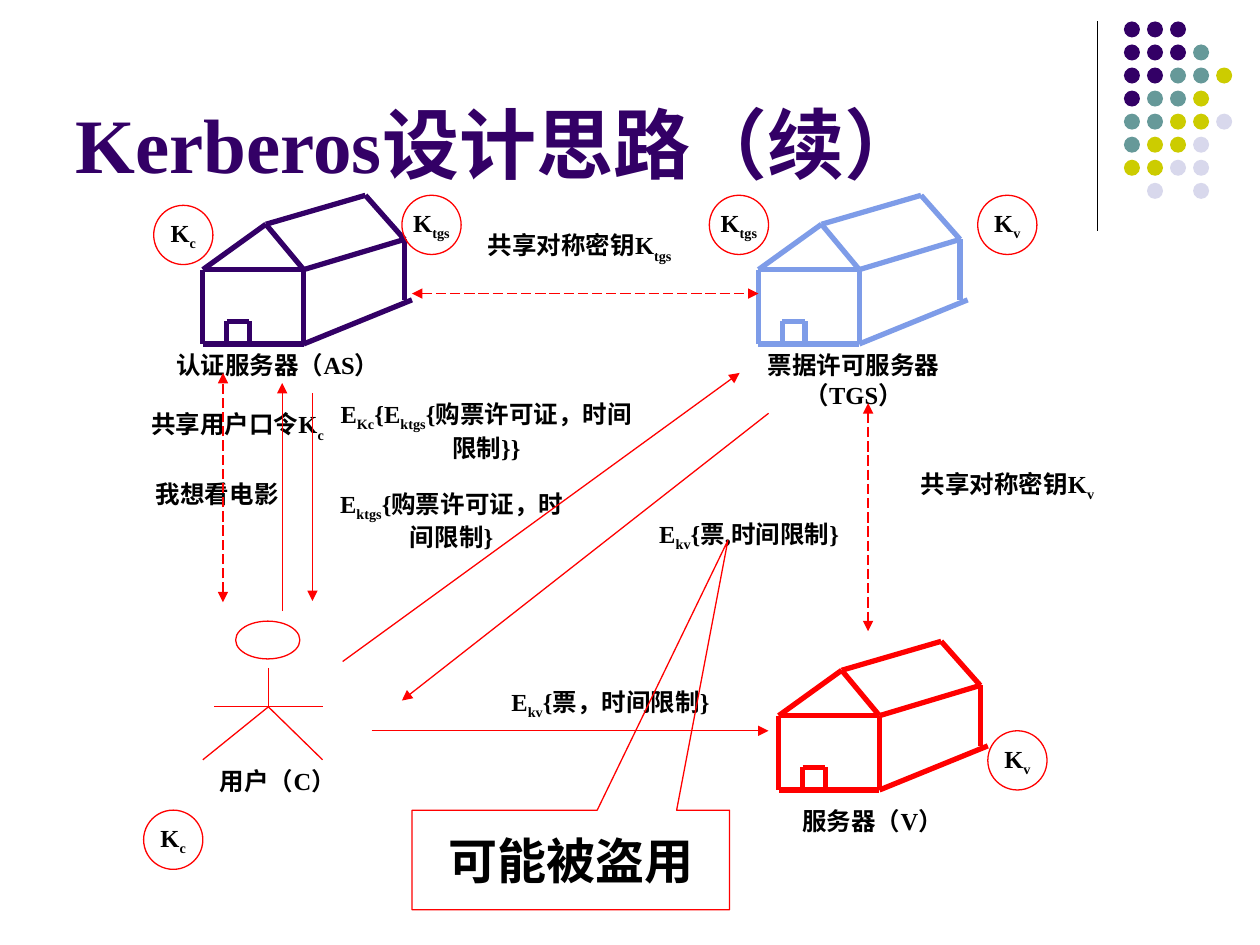
"""Build a slide on the Kerberos design idea: servers, user, keys and messages."""
import lxml.etree
import pptx
import pptx.dml.color
import pptx.enum.dml
import pptx.enum.shapes
import pptx.enum.text
import pptx.oxml.ns
import pptx.util

THEME = {
    "font": "Times New Roman",
    "ink": "000000", "violet": "330066", "blue": "7E9CE8", "red": "FF0000",
    "teal": "669999", "lime": "CCCC00", "mist": "D8D8EC",
    "title": 44, "warning": 28, "label": 14,
    "thin": 0.75, "thick": 3,
}
COLUMNS, ROWS = 100, 75

TITLE = ("Kerberos设计思路（续）", (5, 1.3, 82.5, 14.2))
WARNING = ("可能被盗用", (32.7, 64.3, 25.2, 7.9), (0.495, -3.211))

DOT_ROWS = ["vvv", "vvvt", "vvttl", "vttl", "ttllm", "tllm", "llmm", ".m.m"]
DOT_COLOURS = {"v": "violet", "t": "teal", "l": "lime", "m": "mist"}
DOT_ORIGIN, DOT_PITCH, DOT_SIZE = (89.2, 1.7), 1.83, 1.27
DIVIDER = ((87.1, 1.7), (87.1, 18.3))

HOUSES = [((60.2, 15.5), "blue"), ((61.8, 50.9), "red"), ((16.1, 15.5), "violet")]
APEX, RIDGE = (5, 2.3), (12.9, 0)
EAVE_LEFT, EAVE_MID, EAVE_FAR = (0, 5.9), (8, 5.9), (16, 3.5)
BASE_LEFT, BASE_MID, BASE_FAR, BASE_END = (0, 11.8), (8, 11.8), (16, 8.3), (16.6, 8.3)
DOOR = [(1.9, 11.8), (1.9, 10), (3.7, 10), (3.7, 11.8)]
HOUSE_STROKES = [
    [APEX, EAVE_LEFT, EAVE_MID, APEX, RIDGE, EAVE_FAR, EAVE_MID],
    [EAVE_LEFT, BASE_LEFT, BASE_MID, BASE_END],
    [EAVE_MID, BASE_MID],
    [EAVE_FAR, BASE_FAR],
    DOOR,
]

USER_HEAD = (18.7, 49.3, 5.1, 3)
USER_STROKES = [
    [(21.3, 53), (21.3, 56.1)],
    [(16.1, 60.3), (21.3, 56.1), (25.6, 60.3)],
    [(17, 56.1), (25.6, 56.1)],
]

# ~ switches subscript on and off
LABELS = [
    ("票据许可服务器（TGS）", (57.9, 27.3, 19.7, 5.7)),
    ("服务器（V）", (59.4, 63.5, 19.7, 3.4)),
    ("认证服务器（AS）", (12.2, 27.3, 19.7, 3.4)),
    ("用户（C）", (12.2, 60.3, 19.7, 3.4)),
    ("我想看电影", (9, 37.5, 16.5, 3.4)),
    ("E~Kc~{E~ktgs~{购票许可证，时间限制}}", (25.6, 31.2, 26, 6)),
    ("E~ktgs~{购票许可证，时间限制}", (25.6, 38.3, 20.5, 6)),
    ("E~kv~{票,时间限制}", (49.2, 40.7, 20.5, 3.7)),
    ("E~kv~{票，时间限制}", (38.2, 54, 20.5, 3.7)),
    ("共享对称密钥K~tgs~", (35, 17.8, 22, 3.7)),
    ("共享对称密钥K~v~", (68.9, 36.7, 22.1, 3.7)),
    ("共享用户口令K~c~", (10.6, 32, 16.5, 3.7)),
]
MESSAGES = [
    ((22.4, 48.5), (22.4, 30.4)),
    ((24.8, 31.2), (24.8, 47.7)),
    ((27.2, 52.5), (58.7, 29.6)),
    ((61, 32.8), (31.9, 55.6)),
    ((29.5, 58), (61, 58)),
]
SHARED_SECRETS = [
    ((32.7, 23.3), (60.2, 23.3)),
    ((68.9, 32), (68.9, 50.1)),
    ((17.7, 47.8), (17.7, 29.6)),
]
KEY_SIZE = 4.7
KEYS = [
    ("K~c~", (11.4, 64.3)), ("K~c~", (12.2, 16.3)), ("K~tgs~", (56.3, 15.5)),
    ("K~v~", (78.4, 58)), ("K~tgs~", (31.9, 15.5)), ("K~v~", (77.6, 15.5)),
]

SHAPE = pptx.enum.shapes.MSO_SHAPE
ANCHOR = pptx.enum.text.MSO_ANCHOR
ALIGN = pptx.enum.text.PP_ALIGN

deck = pptx.Presentation()
deck.slide_width, deck.slide_height = pptx.util.Inches(10), pptx.util.Inches(7.5)
slide = deck.slides.add_slide(deck.slide_layouts[6])


def grid(*lengths):
    units = (deck.slide_width / COLUMNS, deck.slide_height / ROWS)
    return [round(length * units[i % 2]) for i, length in enumerate(lengths)]


def colour(name):
    return pptx.dml.color.RGBColor.from_string(THEME[name])


def write(holder, wording, size, ink="ink", align=ALIGN.CENTER, anchor=ANCHOR.MIDDLE, wrap=True):
    frame = holder.text_frame
    frame.word_wrap, frame.vertical_anchor = wrap, anchor
    paragraph = frame.paragraphs[0]
    paragraph.alignment = align
    for i, part in enumerate(wording.split("~")):
        if part:
            run = paragraph.add_run()
            run.text = part
            run.font.name, run.font.bold = THEME["font"], True
            run.font.size = pptx.util.Pt(THEME[size])
            run.font.color.rgb = colour(ink)
            if i % 2:
                run.font._element.set("baseline", "-25000")


def outline(kind, box, ink="red", fill=None):
    shape = slide.shapes.add_shape(kind, *grid(*box))
    shape.shadow.inherit = False
    if fill:
        shape.fill.solid()
        shape.fill.fore_color.rgb = colour(fill)
        shape.line.fill.background()
    else:
        shape.fill.background()
        shape.line.color.rgb = colour(ink)
        shape.line.width = pptx.util.Pt(THEME["thin"])
    return shape


def stroke(start, end, ink="red", width="thin", arrows=(), dashed=False):
    line = slide.shapes.add_connector(
        pptx.enum.shapes.MSO_CONNECTOR.STRAIGHT, *grid(*start, *end))
    line.line.color.rgb = colour(ink)
    line.line.width = pptx.util.Pt(THEME[width])
    if dashed:
        line.line.dash_style = pptx.enum.dml.MSO_LINE.LONG_DASH
    for end_name in arrows:
        lxml.etree.SubElement(
            line.line._get_or_add_ln(), pptx.oxml.ns.qn("a:" + end_name), type="triangle")
    lxml.etree.SubElement(line._element.spPr, pptx.oxml.ns.qn("a:effectLst"))


def polyline(points, origin=(0, 0), **style):
    placed = [(origin[0] + x, origin[1] + y) for x, y in points]
    for start, end in zip(placed, placed[1:]):
        stroke(start, end, **style)


stroke(*DIVIDER, ink="ink")
for row, dots in enumerate(DOT_ROWS):
    for column, dot in enumerate(dots):
        if dot in DOT_COLOURS:
            left, top = DOT_ORIGIN[0] + column * DOT_PITCH, DOT_ORIGIN[1] + row * DOT_PITCH
            outline(SHAPE.OVAL, (left, top, DOT_SIZE, DOT_SIZE), fill=DOT_COLOURS[dot])

heading, heading_box = TITLE
write(slide.shapes.add_textbox(*grid(*heading_box)), heading, "title", "violet",
      ALIGN.LEFT, ANCHOR.BOTTOM)

for origin, ink in HOUSES:
    for points in HOUSE_STROKES:
        polyline(points, origin, ink=ink, width="thick")

outline(SHAPE.OVAL, USER_HEAD)
for points in USER_STROKES:
    polyline(points)

for wording, box in LABELS:
    write(slide.shapes.add_textbox(*grid(*box)), wording, "label", anchor=ANCHOR.TOP)
for start, end in MESSAGES:
    stroke(start, end, arrows=["tailEnd"])
for start, end in SHARED_SECRETS:
    stroke(start, end, arrows=["headEnd", "tailEnd"], dashed=True)

warning, warning_box, pointer = WARNING
callout = outline(SHAPE.RECTANGULAR_CALLOUT, warning_box)
callout.adjustments[0], callout.adjustments[1] = pointer
write(callout, warning, "warning")

for key, corner in KEYS:
    write(outline(SHAPE.OVAL, (*corner, KEY_SIZE, KEY_SIZE)), key, "label", wrap=False)

deck.save("out.pptx")
